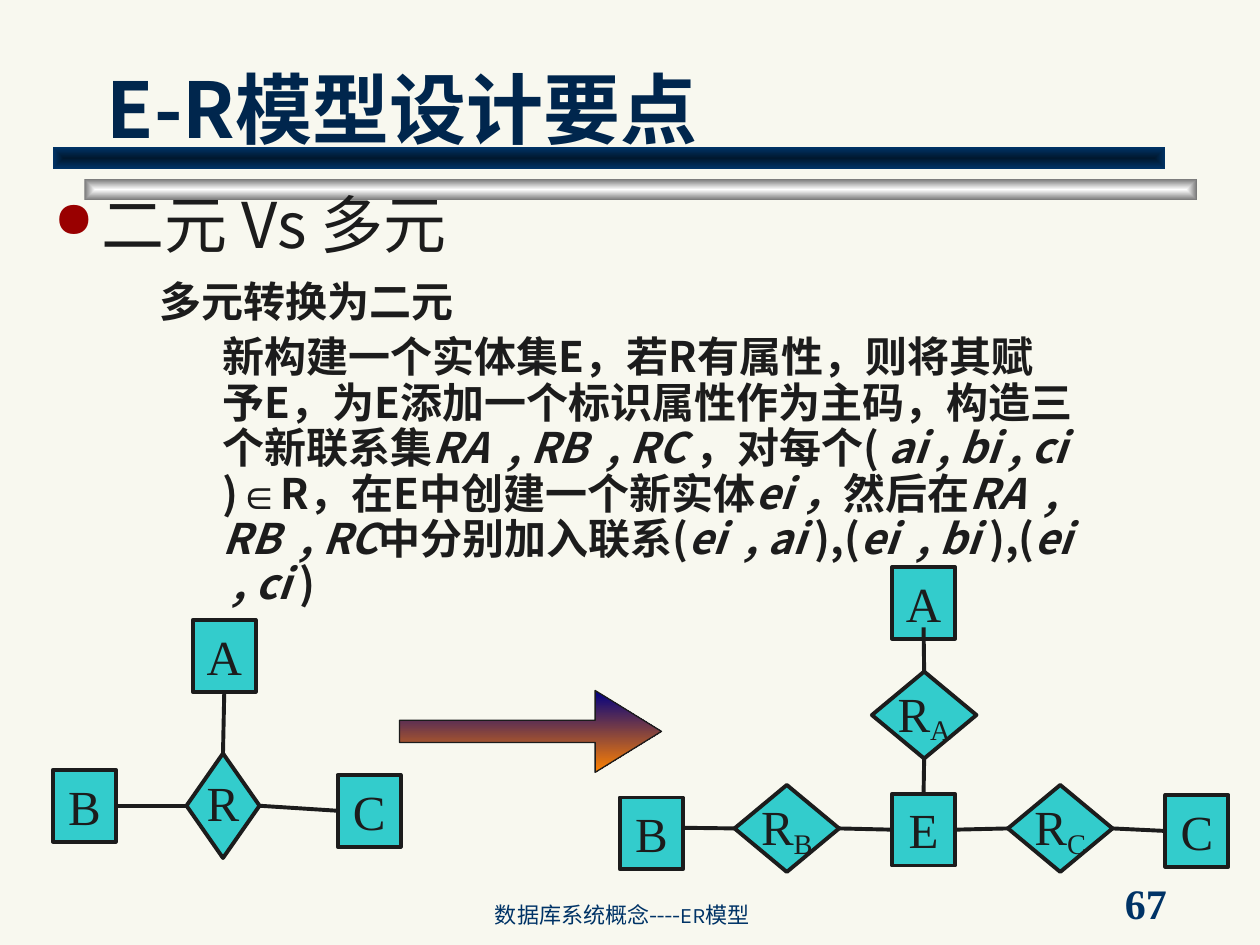
from dataclasses import dataclass

import pptx
import pptx.dml.color
import pptx.enum.shapes
import pptx.enum.text
import pptx.oxml.ns
import pptx.oxml.xmlchemy
import pptx.util
from pptx.util import Inches

HUES = {
    "page": "F8F8EF", "ink": "1C1C1C", "teal": "33CCCC", "navy": "003366",
    "title": "00264D", "night": "00182F", "white": "FFFFFF", "gray": "767676",
    "dot": "990000", "blue": "000082", "orange": "FF8200",
}
SANS = "Noto Sans CJK JP"
SERIF = "Times New Roman"
KIND = pptx.enum.shapes.MSO_SHAPE
ANCHOR = pptx.enum.text.MSO_ANCHOR
TOP, LEFT, BOTTOM, RIGHT = range(4)


@dataclass
class Node:
    key: str
    x: float
    y: float
    text: str
    sub: str = ""
    wide: float = 0.5
    high: float = 0.57
    kind: KIND = KIND.RECTANGLE


@dataclass
class Join:
    key: str
    side: int


@dataclass
class Spot:
    x: float
    y: float


@dataclass
class Label:
    x: float
    y: float
    wide: float
    high: float
    text: str
    size: float
    face: str
    hue: str
    bold: bool = False
    anchor: ANCHOR = ANCHOR.TOP
    space: float = 1.0
    wrap: bool = True


NODES = [
    Node("A", 1.53, 4.92, "A"),
    Node("B", 0.42, 6.11, "B"),
    Node("C", 2.68, 6.15, "C"),
    Node("R", 1.48, 5.98, "R", "", 0.58, 0.83, KIND.DIAMOND),
    Node("A2", 7.08, 4.5, "A"),
    Node("B2", 4.92, 6.33, "B"),
    Node("C2", 9.25, 6.31, "C"),
    Node("E", 7.08, 6.3, "E"),
    Node("RA", 6.92, 5.33, "R", "A", 0.83, 0.69, KIND.DIAMOND),
    Node("RB", 5.83, 6.23, "R", "B", 0.83, 0.69, KIND.DIAMOND),
    Node("RC", 8, 6.23, "R", "C", 0.83, 0.69, KIND.DIAMOND),
]
LINKS = [
    (Join("A", BOTTOM), Join("R", TOP)),
    (Join("C", LEFT), Join("R", RIGHT)),
    (Join("R", LEFT), Join("B", RIGHT)),
    (Spot(7.33, 4.98), Join("RA", TOP)),
    (Join("RA", BOTTOM), Join("E", TOP)),
    (Join("E", LEFT), Join("RB", RIGHT)),
    (Join("RB", LEFT), Spot(5.42, 6.57)),
    (Join("RC", LEFT), Join("E", RIGHT)),
    (Join("C2", LEFT), Join("RC", RIGHT)),
]
LABELS = [
    Label(8.83, 7, 1.08, 0.33, "67", 24, SERIF, "navy", True, ANCHOR.MIDDLE, wrap=False),
    Label(3.83, 7.08, 4.08, 0.33, "数据库系统概念----ER模型", 12.6, "Karla", "navy",
          anchor=ANCHOR.BOTTOM, space=0.8),
    Label(0.75, 0.25, 8.52, 1.02, "E-R模型设计要点", 44, "Noto Sans CJK SC", "title",
          True, ANCHOR.BOTTOM),
]
STEPS = [
    ("新构建一个实体集E，若R有属性，则将其赋予E，为E添加一个标识属性作为主码，构造三个新联系集", False),
    ("RA  , RB  , RC ", True), ("，对每个( ", False), ("ai , bi , ci", True),
    (" )", False), ("∈", False), ("R，在E中创建一个新实体", False), ("ei ，", True),
    ("然后在", False), ("RA  , RB  , RC", True), ("中分别加入联系(", False),
    ("ei  , ai ", True), ("),(", False), ("ei  , bi ", True), ("),(", False),
    ("ei  , ci ", True), (")", False),
]


def tint(name: str) -> pptx.dml.color.RGBColor:
    """Return the named colour."""
    return pptx.dml.color.RGBColor.from_string(HUES[name])


def sub(parent, tag: str, **attrs: str):
    """Append a child element and return it."""
    child = parent.makeelement(pptx.oxml.ns.qn(tag), attrs)
    parent.append(child)
    return child


def style(para, size: float, face: str, hue: str, bold: bool = False) -> None:
    """Set the font of a paragraph."""
    font = para.font
    font.size = pptx.util.Pt(size)
    font.bold = bold
    font.color.rgb = tint(hue)
    font.name = face
    sub(font._rPr, "a:ea", typeface=face)


def blend(shape, first: str, last: str, path: bool) -> None:
    """Fill a shape with a vertical or a rectangular gradient."""
    fill = shape.fill
    fill.gradient()
    fill.gradient_angle = 270
    for stop, hue in zip(fill.gradient_stops, (first, last)):
        stop.color.rgb = tint(hue)
    if path:
        grad = shape._element.spPr.find(pptx.oxml.ns.qn("a:gradFill"))
        grad.remove(grad.find(pptx.oxml.ns.qn("a:lin")))
        ring = sub(grad, "a:path", path="rect")
        sub(ring, "a:fillToRect", l="50000", t="50000", r="50000", b="50000")


def frame(slide, x: float, y: float, wide: float, high: float):
    """Add a wrapping text box and return its text frame."""
    box = slide.shapes.add_textbox(Inches(x), Inches(y), Inches(wide), Inches(high))
    box.text_frame.word_wrap = True
    return box.text_frame


def shape(slide, kind: KIND, x: float, y: float, wide: float, high: float):
    """Add a preset shape without a shadow."""
    item = slide.shapes.add_shape(kind, Inches(x), Inches(y), Inches(wide), Inches(high))
    item.shadow.inherit = False
    return item


def bar(slide, x: float, y: float, first: str, last: str) -> None:
    """Draw a title rule."""
    item = shape(slide, KIND.RECTANGLE, x, y, 8.83, 0.17)
    blend(item, first, last, True)
    item.line.fill.background()


def label(slide, spec_: Label) -> None:
    """Draw a single line of text."""
    body = frame(slide, spec_.x, spec_.y, spec_.wide, spec_.high)
    body.word_wrap = spec_.wrap
    body.vertical_anchor = spec_.anchor
    para = body.paragraphs[0]
    para.text = spec_.text
    para.line_spacing = spec_.space
    style(para, spec_.size, spec_.face, spec_.hue, spec_.bold)


def topic(slide) -> None:
    """Draw the bulleted heading."""
    para = frame(slide, 0.33, 1.42, 9.42, 0.76).paragraphs[0]
    para.text = "二元 Vs 多元"
    props = para._p.get_or_add_pPr()
    props.set("marL", str(Inches(0.38)))
    props.set("indent", str(Inches(-0.38)))
    sub(sub(props, "a:buClr"), "a:srgbClr", val=HUES["dot"])
    sub(props, "a:buSzPct", val="80000")
    sub(props, "a:buChar", char="●")
    style(para, 36, SANS, "ink")


def steps(slide) -> None:
    """Draw the conversion rule and its heading."""
    body = frame(slide, 0.67, 2.18, 7.95, 3.3)
    head, text = body.paragraphs[0], body.add_paragraph()
    head.text = "多元转换为二元"
    text.space_before = pptx.util.Pt(6)
    for words, slant in STEPS:
        run = text.add_run()
        run.text = words
        if slant:
            run.font.italic = True
        if words == "∈":
            run.font.name = "Arial"
    for para, left in ((head, 0.5), (text, 1)):
        para._p.get_or_add_pPr().set("marL", str(Inches(left)))
        para.line_spacing = 0.9
        style(para, 24, SANS, "ink", True)


def draw(slide, node: Node):
    """Draw an entity or a relation and return it."""
    item = shape(slide, node.kind, node.x, node.y, node.wide, node.high)
    item.fill.solid()
    item.fill.fore_color.rgb = tint("teal")
    item.line.color.rgb = tint("ink")
    item.line.width = pptx.util.Pt(2.25)
    body = item.text_frame
    gem = node.kind == KIND.DIAMOND
    body.word_wrap = not gem
    body.vertical_anchor = ANCHOR.MIDDLE if gem else ANCHOR.TOP
    para = body.paragraphs[0]
    para.text = node.text
    para.alignment = pptx.enum.text.PP_ALIGN.CENTER
    para.line_spacing = 0.9 if gem else 1.0
    if node.sub:
        run = para.add_run()
        run.text = node.sub
        run.font._rPr.set("baseline", "-18000")
    style(para, 28, SERIF, "ink")
    return item


def link(slide, items: dict, start: Join | Spot, end: Join | Spot) -> None:
    """Draw a line between two joints or points."""
    ends = [(Inches(e.x), Inches(e.y)) if isinstance(e, Spot) else (0, 0) for e in (start, end)]
    line = slide.shapes.add_connector(
        pptx.enum.shapes.MSO_CONNECTOR.STRAIGHT, *ends[0], *ends[1])
    for spot, join in ((start, line.begin_connect), (end, line.end_connect)):
        if isinstance(spot, Join):
            join(items[spot.key], spot.side)
    line.line.color.rgb = tint("ink")
    line.line.width = pptx.util.Pt(2.25)
    sub(line._element.spPr, "a:effectLst")


def arrow(slide) -> None:
    """Draw the conversion arrow."""
    item = shape(slide, KIND.RIGHT_ARROW, 3.17, 5.48, 2.08, 0.65)
    item.adjustments[0], item.adjustments[1] = 0.27, 0.81
    blend(item, "blue", "orange", False)
    item.line.color.rgb = tint("ink")
    item.line.width = pptx.util.Pt(0.75)


def main() -> None:
    """Build and save the slide."""
    deck = pptx.Presentation()
    deck.slide_width, deck.slide_height = Inches(10), Inches(7.5)
    slide = deck.slides.add_slide(deck.slide_layouts[6])
    slide.background.fill.solid()
    slide.background.fill.fore_color.rgb = tint("page")
    bar(slide, 0.67, 1.42, "white", "gray")
    bar(slide, 0.42, 1.17, "night", "navy")
    for item in LABELS:
        label(slide, item)
    topic(slide)
    items = {node.key: draw(slide, node) for node in NODES}
    for start, end in LINKS:
        link(slide, items, start, end)
    arrow(slide)
    steps(slide)
    deck.save("out.pptx")


if __name__ == "__main__":
    main()
